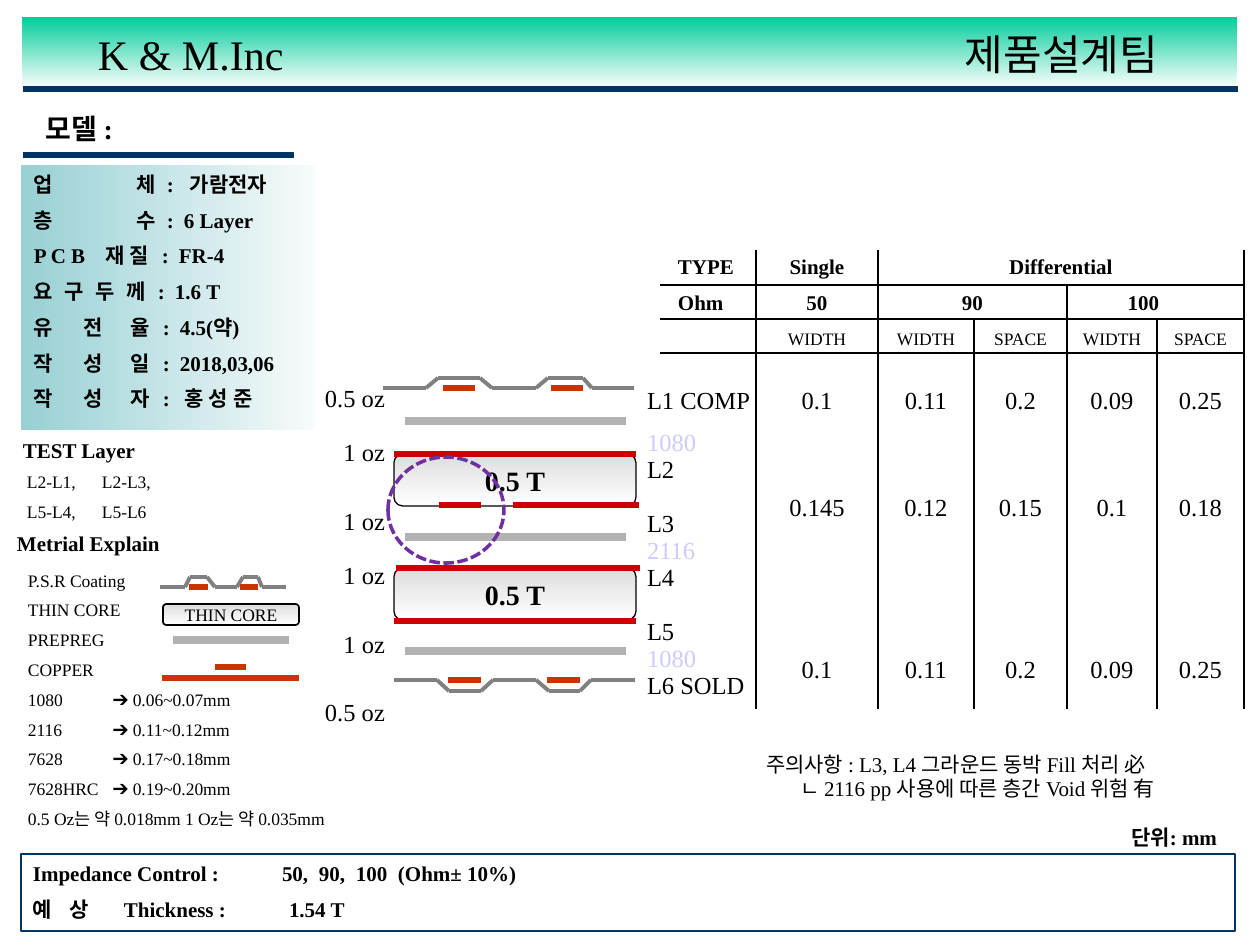
from itertools import pairwise

from lxml import etree
from pptx import Presentation
from pptx.dml.color import RGBColor
from pptx.enum.dml import MSO_LINE
from pptx.enum.shapes import MSO_CONNECTOR, MSO_SHAPE
from pptx.enum.text import MSO_ANCHOR, PP_ALIGN
from pptx.oxml.ns import qn
from pptx.util import Emu, Pt

PX = 914400 / 126
FONT = "Times New Roman"
LEFT, MID, RIGHT = PP_ALIGN.LEFT, PP_ALIGN.CENTER, PP_ALIGN.RIGHT
RECT, ROUND, OVAL = MSO_SHAPE.RECTANGLE, MSO_SHAPE.ROUNDED_RECTANGLE, MSO_SHAPE.OVAL
TOP, CENTER = MSO_ANCHOR.TOP, MSO_ANCHOR.MIDDLE
DASH, STRAIGHT = MSO_LINE.SQUARE_DOT, MSO_CONNECTOR.STRAIGHT
BLACK, NAVY, GRAY, LIGHT = "000000", "003366", "808080", "B2B2B2"
RED, COPPER, PALE = "CC0000", "CC3300", "CCCCFF"
NO_STYLE = "{2D5ABB26-0587-4C30-8999-92F81FD0307C}"


def px(n):
    return Emu(round(n * PX))


def rgb(code):
    return RGBColor.from_string(code)


def style(par, size, bold=False, color=BLACK, align=LEFT):
    font = par.font
    font.name, font.size, font.bold = FONT, Pt(size), bold
    font.color.rgb = rgb(color)
    par.alignment = align


def fit(frame, anchor=CENTER):
    """Drop the insets of a text frame and let it wrap."""
    frame.margin_left = frame.margin_right = 0
    frame.margin_top = frame.margin_bottom = 0
    frame.word_wrap = True
    frame.vertical_anchor = anchor


def label(slide, x, y, w, words, size, **look):
    """One line of text, centred near the height y."""
    frame = slide.shapes.add_textbox(px(x), px(y - 21), px(w), px(40)).text_frame
    fit(frame)
    frame.text = words
    style(frame.paragraphs[0], size, **look)


def lines(slide, x, y, w, pitch, rows, size, **look):
    """Evenly pitched rows, each a (words, tab stops, indent) tuple."""
    box = slide.shapes.add_textbox(px(x), px(y), px(w), px(pitch * len(rows)))
    frame = box.text_frame
    fit(frame, TOP)
    for i, (words, stops, indent) in enumerate(rows):
        par = frame.add_paragraph() if i else frame.paragraphs[0]
        par.text = words
        par.line_spacing = px(pitch)
        style(par, size, **look)
        props = par._p.get_or_add_pPr()
        props.set("marL", str(px(indent)))
        if stops:
            tabs = etree.Element(qn("a:tabLst"))
            for stop in stops:
                etree.SubElement(tabs, qn("a:tab"), pos=str(px(stop)), algn="l")
            props.find(qn("a:defRPr")).addprevious(tabs)


def shape(slide, kind, x, y, w, h, line=None, width=1.0, grad=None, angle=270):
    item = slide.shapes.add_shape(kind, px(x), px(y), px(w), px(h))
    item.shadow.inherit = False
    if grad:
        item.fill.gradient()
        item.fill.gradient_angle = angle
        for pos, (stop, color) in enumerate(zip(item.fill.gradient_stops, grad)):
            stop.color.rgb, stop.position = rgb(color), pos
    else:
        item.fill.background()
    if line:
        item.line.color.rgb, item.line.width = rgb(line), Pt(width)
    else:
        item.line.fill.background()
    return item


def join(slide, start, end, color, width):
    item = slide.shapes.add_connector(STRAIGHT, *map(px, start + end))
    item.line.color.rgb, item.line.width = rgb(color), Pt(width)
    etree.SubElement(item._element.spPr, qn("a:effectLst"))


def bar(slide, x1, x2, y, color, width=3.0):
    """A level line."""
    join(slide, (x1, y), (x2, y), color, width)


def coat(slide, x, y, rise, steps, pads):
    """Coating that bends over two copper pads."""
    spots = [(x + s, y - rise * (i % 4 > 1)) for i, s in enumerate(steps)]
    for start, end in pairwise(spots):
        join(slide, start, end, GRAY, 2.25)
    for a, b in pads:
        bar(slide, x + a, x + b, y, COPPER)


def core(slide, x, y, w, h, words, size, bold, width):
    item = shape(slide, ROUND, x, y, w, h, BLACK, width, ("DDDDDD", "FFFFFF"))
    fit(item.text_frame)
    item.text_frame.text = words
    style(item.text_frame.paragraphs[0], size, bold, align=MID)


def header(slide, x, y, w):
    shape(slide, RECT, x, y, w, 73, "FFFFFF", 0.75, ("00CC99", "FFFFFF"))
    bar(slide, x + 2, x + w, y + 73, NAVY)
    label(slide, x + 77, y + 39, 300, "K & M.Inc", 24)
    label(slide, x + 837, y + 39, 300, "제품설계팀", 24, align=RIGHT)
    label(slide, x + 25, y + 113, 240, "모델 :", 16, bold=True)
    bar(slide, x + 2, x + 273, y + 139, NAVY)


def facts(slide, x, y):
    shape(slide, RECT, x, y, 294, 265, grad=("98D0D4", "F7FBFB"), angle=0)
    rows = [("업\t체\t:\t가람전자", [103, 133, 156], 0),
            ("층\t수\t:\t6 Layer", [103, 133, 150], 0),
            ("P C B\t재 질\t:\tFR-4", [72, 128, 145], 0),
            ("요\t구\t두\t께\t:\t1.6 T", [31, 62, 93, 124, 141], 0)]
    rows += [(f"{a}\t{b}\t{c}\t:\t{d}", [50, 97, 129, end], 0) for a, b, c, d, end in (
        ("유", "전", "율", "4.5(약)", 146), ("작", "성", "일", "2018,03,06", 146),
        ("작", "성", "자", "홍 성 준", 151))]
    lines(slide, x + 13, y - 4, 280, 35.7, rows, 12, bold=True)


def legend(slide, x, y):
    label(slide, x + 7, y, 200, "TEST Layer", 12, bold=True)
    tests = [("L2-L1,\tL2-L3,", [75], 0), ("L5-L4,\tL5-L6", [75], 0)]
    lines(slide, x + 11, y + 11, 200, 30, tests, 10)
    label(slide, x + 1, y + 93, 200, "Metrial Explain", 12, bold=True)
    words = ["P.S.R Coating", "THIN CORE", "PREPREG", "COPPER",
             "1080\t➔ 0.06~0.07mm", "2116\t➔ 0.11~0.12mm", "7628\t➔ 0.17~0.18mm",
             "7628HRC\t➔ 0.19~0.20mm", "0.5 Oz는 약 0.018mm 1 Oz는 약 0.035mm"]
    lines(slide, x + 12, y + 110, 340, 29.75, [(w, [85], 0) for w in words], 10)
    coat(slide, x + 144, y + 136, 10, (0, 25, 30, 47, 55, 77, 83, 98, 102, 126),
         ((29, 48), (80, 98)))
    core(slide, x + 147, y + 153, 136, 21, "THIN CORE", 10, False, 1)
    bar(slide, x + 157, x + 273, y + 189, LIGHT, 4.5)
    bar(slide, x + 199, x + 230, y + 216, COPPER)
    bar(slide, x + 146, x + 283, y + 227, COPPER)


def stack(slide, x, y):
    """Board layers between copper weights and layer names."""
    for dy, words in zip((11, 65, 134, 188, 257, 325), ["0.5 oz"] + ["1 oz"] * 4 + ["0.5 oz"]):
        label(slide, x - 73, y + dy, 75, words, 14, align=RIGHT)
    coat(slide, x, y, 10, (0, 43, 55, 97, 109, 153, 165, 200, 209, 251),
         ((60, 92), (168, 200)))
    for dy in (33, 149, 263):
        bar(slide, x + 22, x + 243, y + dy, LIGHT, 4.5)
    for dy in (66, 180):
        core(slide, x + 11, y + dy, 242, 52, "0.5 T", 16, True, 0.75)
    for a, b, dy in ((11, 253, 66), (56, 98, 117), (130, 256, 117), (13, 257, 180), (11, 253, 233)):
        bar(slide, x + a, x + b, y + dy, RED)
    coat(slide, x + 11, y + 292, -11, (0, 43, 55, 87, 99, 142, 155, 186, 197, 241),
         ((54, 87), (153, 186)))
    ring = shape(slide, OVAL, x + 5, y + 69, 116, 106, "7030A0", 2)
    ring.line.dash_style = DASH
    names = ((13, "L1 COMP"), (55, "1080"), (82, "L2"), (136, "L3"), (163, "2116"),
             (190, "L4"), (244, "L5"), (271, "1080"), (298, "L6 SOLD"))
    for dy, words in names:
        label(slide, x + 264, y + dy, 110, words, 14, color=BLACK if words[0] == "L" else PALE)


def edge(cell, side):
    """A thin black border, side being lnR or lnB."""
    line = etree.SubElement(cell._tc.get_or_add_tcPr(), qn("a:" + side), w="12700")
    fill = etree.SubElement(line, qn("a:solidFill"))
    etree.SubElement(fill, qn("a:srgbClr"), val=BLACK)


def grid(slide, x, y):
    wide, high = (96, 122, 96, 93, 90, 87), (35, 34, 34, 96, 118, 64, 78)
    rows = [["TYPE", "Single", "Differential", "", "", ""],
            ["Ohm", "50", "90", "", "100", ""],
            ["", "WIDTH", "WIDTH", "SPACE", "WIDTH", "SPACE"],
            ["", "0.1", "0.11", "0.2", "0.09", "0.25"],
            ["", "0.145", "0.12", "0.15", "0.1", "0.18"],
            [""] * 6,
            ["", "0.1", "0.11", "0.2", "0.09", "0.25"]]
    table = slide.shapes.add_table(7, 6, px(x), px(y), px(sum(wide)), px(sum(high))).table
    table._tbl.tblPr.find(qn("a:tableStyleId")).text = NO_STYLE
    table.first_row = table.horz_banding = False
    for col, w in zip(table.columns, wide):
        col.width = px(w)
    for row, h in zip(table.rows, high):
        row.height = px(h)
    for r, words in enumerate(rows):
        size = 12 if r < 2 else 10 if r == 2 else 14
        for c, word in enumerate(words):
            cell = table.cell(r, c)
            cell.margin_left = px(0 if c else 18)
            cell.margin_right = px(24 if word == "100" else 0)
            cell.margin_top = px(7 if r == 2 else 3 if r == 1 else 0)
            cell.margin_bottom = 0
            cell.vertical_anchor = CENTER
            cell.text = word
            par = cell.text_frame.paragraphs[0]
            style(par, size, r < 2, align=MID if c else LEFT)
            if not word:
                par._p.get_or_add_endParaRPr().set("sz", str(size * 100))
            edge(cell, "lnR")
            if r < 3:
                edge(cell, "lnB")
            cell.fill.background()
    for r, a, b in ((0, 2, 5), (1, 2, 3), (1, 4, 5)):
        table.cell(r, a).merge(table.cell(r, b))


def footer(slide, x, y, w):
    notes = [("주의사항 : L3, L4 그라운드 동박 Fill 처리 必", [], 0),
             ("ㄴ 2116 pp 사용에 따른 층간 Void 위험 有", [], 34)]
    lines(slide, x + 745, y - 101, 470, 24, notes, 12)
    label(slide, x + 1000, y - 16, 196, "단위: mm", 12, bold=True, align=RIGHT)
    shape(slide, RECT, x, y, w, 77, NAVY)
    rows = [("Impedance Control :\t50,\t90,\t100\t(Ohm± 10%)", [249, 286, 323, 365], 0),
            ("예\t상\tThickness :\t1.54 T", [37, 91, 256], 0)]
    lines(slide, x + 12, y - 4, w - 24, 35.7, rows, 12, bold=True)


def main():
    deck = Presentation()
    deck.slide_width, deck.slide_height = px(1260), px(945)
    slide = deck.slides.add_slide(deck.slide_layouts[6])
    header(slide, 21, 16, 1217)
    facts(slide, 21, 165)
    legend(slide, 16, 451)
    stack(slide, 383, 388)
    grid(slide, 660, 250)
    footer(slide, 21, 854, 1214)
    deck.save("out.pptx")


if __name__ == "__main__":
    main()
